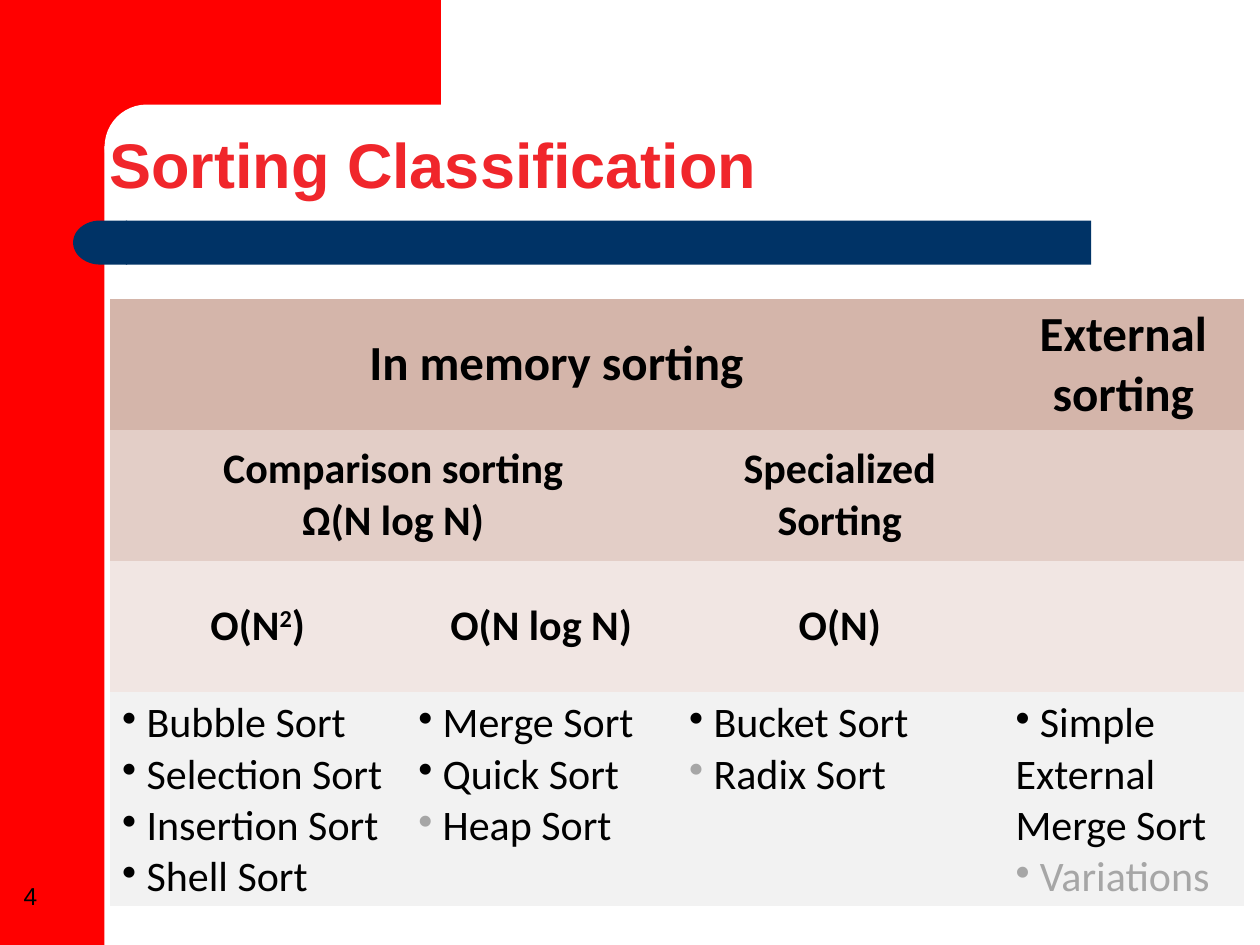
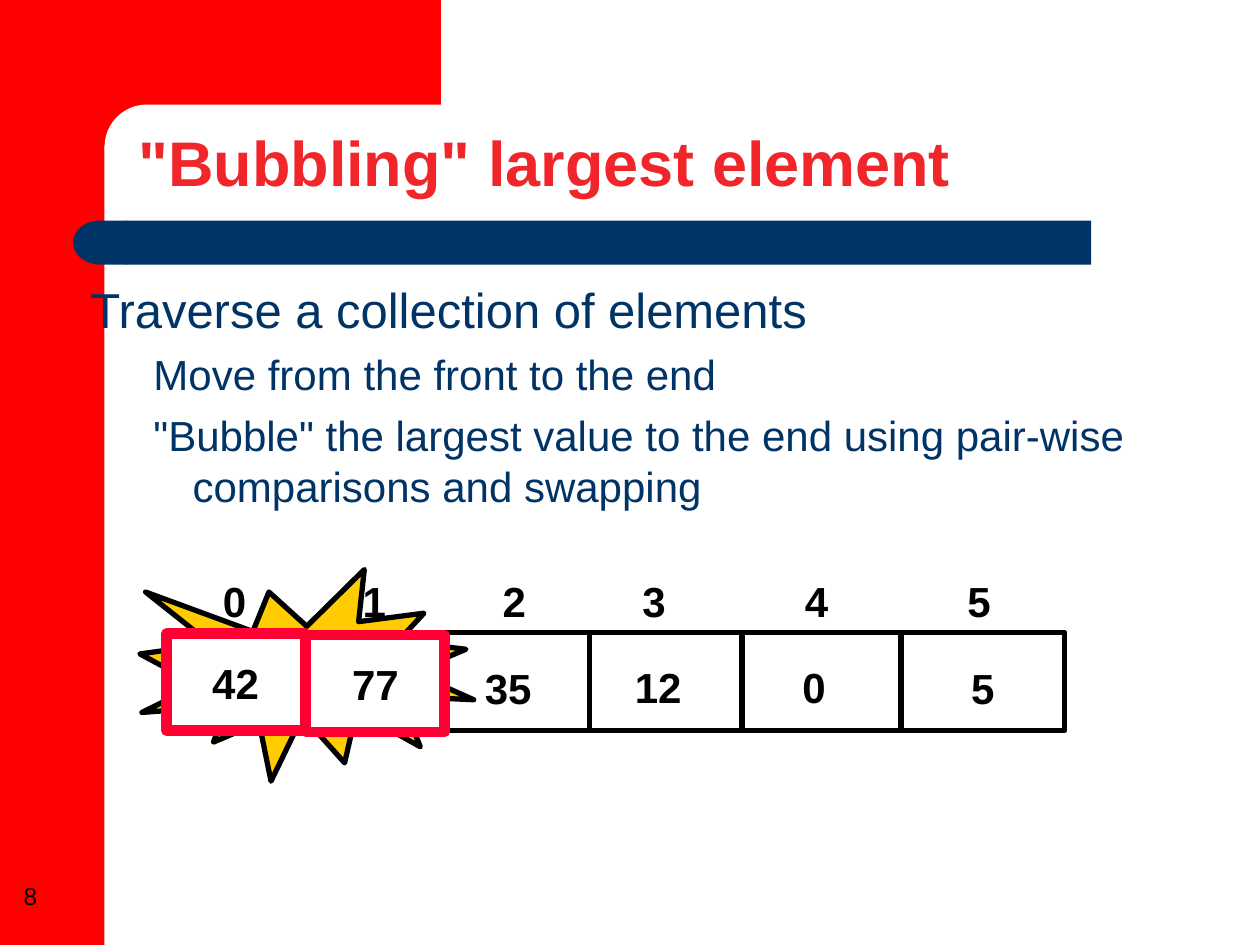
from lxml.etree import SubElement
from pptx import Presentation
from pptx.dml.color import RGBColor
from pptx.enum.shapes import MSO_CONNECTOR, MSO_SHAPE as Shape
from pptx.enum.text import MSO_ANCHOR as Anchor, PP_ALIGN as Align
from pptx.oxml.ns import qn
from pptx.util import Inches, Pt

RED = RGBColor(0xFF, 0x00, 0x00)
TITLE_RED = RGBColor(0xF0, 0x26, 0x2B)
SWAP_RED = RGBColor(0xFF, 0x00, 0x33)
NAVY = RGBColor(0x00, 0x33, 0x66)
YELLOW = RGBColor(0xFF, 0xCC, 0x00)
WHITE = RGBColor(0xFF, 0xFF, 0xFF)
BLACK = RGBColor(0x00, 0x00, 0x00)
GREY = RGBColor(0xA6, 0xA6, 0xA6)
ROW_FILLS = [RGBColor(0xD4, 0xB5, 0xAA), RGBColor(0xE3, 0xCE, 0xC7),
             RGBColor(0xF1, 0xE6, 0xE3), RGBColor(0xF2, 0xF2, 0xF2)]
NO_STYLE = "{2D5ABB26-0587-4C30-8999-92F81FD0307C}"

deck = Presentation()
deck.slide_width, deck.slide_height = Inches(10), Inches(7.5)
# The slide is a grid of 100 columns by 75 rows
COL = deck.slide_width / 100
ROW = deck.slide_height / 75


def draw(slide, kind, x, y, w, h, fill=None, line=None, weight=3):
    """Place a shape, or a text box when kind is None, on the grid."""
    place = int(x * COL), int(y * ROW), int(w * COL), int(h * ROW)
    if kind is None:
        box = slide.shapes.add_textbox(*place)
        box.text_frame.word_wrap = True
        return box
    shape = slide.shapes.add_shape(kind, *place)
    shape.shadow.inherit = False
    if fill is None:
        shape.fill.background()
    else:
        shape.fill.solid()
        shape.fill.fore_color.rgb = fill
    if line is None:
        shape.line.fill.background()
    else:
        shape.line.color.rgb = line
        shape.line.width = Pt(weight)
    return shape


def write(paragraph, text, size, color=BLACK, bold=False, font="Arial"):
    run = paragraph.add_run()
    run.text = text
    run.font.size, run.font.name, run.font.bold = Pt(size), font, bold
    run.font.color.rgb = color
    return run


# Shared frame: red corner, navy band, title and slide number
slides = []
for title, title_place, number in [
    ("Sorting Classification", (7.7, 4, 90, 12.5), "4"),
    ('"Bubbling" largest element', (10, 10, 87.5, 6.4), "8"),
]:
    slide = deck.slides.add_slide(deck.slide_layouts[6])
    draw(slide, Shape.RECTANGLE, 0, 0, 8.3, 75, RED)
    draw(slide, Shape.RECTANGLE, 7.5, 0, 27.5, 11.6, RED)
    corner = draw(slide, Shape.ROUNDED_RECTANGLE, 8.3, 8.3, 55.8, 6.7, WHITE)
    corner.adjustments[0] = 0.5
    draw(slide, Shape.RECTANGLE, 10, 17.5, 76.6, 3.5, NAVY)
    band_end = draw(slide, Shape.FLOWCHART_DELAY, 5.8, 17.5, 4.3, 3.5, NAVY)
    band_end.rotation = 180

    heading = draw(slide, None, *title_place).text_frame
    heading.vertical_anchor = Anchor.BOTTOM
    heading.paragraphs[0].line_spacing = 0.9
    write(heading.paragraphs[0], title, 36, TITLE_RED, True)
    page = draw(slide, None, 0.9, 69.4, 6.4, 5.3).text_frame
    write(page.paragraphs[0], number, 14)
    slides.append(slide)
classification, bubbling = slides

# Classification table
col_widths = [23.5, 21.5, 25.9, 19.1]
row_heights = [10.4, 10.4, 10.4, 17]
table = classification.shapes.add_table(
    4, 4, int(8.7 * COL), int(23.7 * ROW),
    int(sum(col_widths) * COL), int(sum(row_heights) * ROW)).table
table._tbl.tblPr.find(qn("a:tableStyleId")).text = NO_STYLE
table.first_row = table.horz_banding = False
for column, width in zip(table.columns, col_widths):
    column.width = int(width * COL)
for row, height, color in zip(table.rows, row_heights, ROW_FILLS):
    row.height = int(height * ROW)
    for cell in row.cells:
        cell.fill.solid()
        cell.fill.fore_color.rgb = color
table.cell(0, 0).merge(table.cell(0, 2))
table.cell(1, 0).merge(table.cell(1, 1))

# Headings; the text after ^ is superscript up to the next ^
headings = [
    (0, 0, 28, ["In memory sorting"]),
    (0, 3, 28, ["External sorting"]),
    (1, 0, 24, ["Comparison sorting", "Ω(N log N)"]),
    (1, 2, 24, ["Specialized Sorting"]),
    (2, 0, 24, ["O(N^2^)"]),
    (2, 1, 24, ["O(N log N)"]),
    (2, 2, 24, ["O(N)"]),
]
for row, col, size, lines in headings:
    cell = table.cell(row, col)
    cell.vertical_anchor = Anchor.MIDDLE
    for i, text in enumerate(lines):
        paragraph = cell.text_frame.add_paragraph() if i else cell.text_frame.paragraphs[0]
        paragraph.alignment = Align.CENTER
        for part, piece in enumerate(text.split("^")):
            run = write(paragraph, piece, size, BLACK, True, "Calibri")
            if part == 1:
                run._r.get_or_add_rPr().set("baseline", "30000")

# Algorithms: name, bullet colour, text colour
algorithms = [
    [("Bubble Sort", BLACK, BLACK), ("Selection Sort", BLACK, BLACK),
     ("Insertion Sort", BLACK, BLACK), ("Shell Sort", BLACK, BLACK)],
    [("Merge Sort", BLACK, BLACK), ("Quick Sort", BLACK, BLACK),
     ("Heap Sort", GREY, BLACK)],
    [("Bucket Sort", BLACK, BLACK), ("Radix Sort", GREY, BLACK)],
    [("Simple External Merge Sort", BLACK, BLACK), ("Variations", GREY, GREY)],
]
for col, sorts in enumerate(algorithms):
    frame = table.cell(3, col).text_frame
    for i, (name, bullet_color, text_color) in enumerate(sorts):
        paragraph = frame.add_paragraph() if i else frame.paragraphs[0]
        properties = paragraph._p.get_or_add_pPr()
        bullet = SubElement(properties, qn("a:buClr"))
        SubElement(bullet, qn("a:srgbClr"), val=str(bullet_color))
        SubElement(properties, qn("a:buChar"), char="•")
        write(paragraph, " " + name, 24, text_color, font="Calibri")

# Explanation of one bubbling pass: text, level, size, margin, hang, space before
explanation = draw(bubbling, None, 6.2, 21.7, 90, 53.3).text_frame
points = [
    ("Traverse a collection of elements", 0, 28, 0.38, 0.38, 0),
    ("Move from the front to the end", 1, 24, 0.81, 0.31, 6),
    ('"Bubble" the largest value to the end using pair-wise comparisons and swapping',
     1, 24, 0.81, 0.31, 6),
]
for i, (text, level, size, margin, hang, space) in enumerate(points):
    paragraph = explanation.add_paragraph() if i else explanation.paragraphs[0]
    paragraph.level = level
    paragraph.space_before = Pt(space)
    properties = paragraph._p.get_or_add_pPr()
    properties.set("marL", str(Inches(margin)))
    properties.set("indent", str(-Inches(hang)))
    write(paragraph, text, size, NAVY)

# Array outline and its cell walls
array_left, array_top, array_width, array_height = 13.2, 50.2, 71.3, 7.8
draw(bubbling, Shape.RECTANGLE, array_left, array_top, array_width, array_height, line=BLACK)
for wall_x in [24.3, 35.4, 46.8, 58.9, 71.5]:
    wall = bubbling.shapes.add_connector(
        MSO_CONNECTOR.STRAIGHT, int(wall_x * COL), int(array_top * ROW),
        int(wall_x * COL), int((array_top + array_height) * ROW))
    wall.line.color.rgb = BLACK
    wall.line.width = Pt(3)
    SubElement(wall._element.spPr, qn("a:effectLst"))

# Values that stay in place
for value, x, y, w in [("35", 37.5, 52.1, 5.7), ("12", 49.4, 52, 5.7),
                       ("0", 62.7, 52, 3.9), ("5", 76.1, 52.1, 3.9)]:
    frame = draw(bubbling, None, x, y, w, 5).text_frame
    frame.word_wrap = False
    write(frame.paragraphs[0], value, 24, bold=True)

# Index labels on tab stops
indexes = draw(bubbling, None, 16.7, 45.2, 63.8, 5.1).text_frame.paragraphs[0]
tabs = SubElement(indexes._p.get_or_add_pPr(), qn("a:tabLst"))
for stop in [11.1, 22.2, 33.3, 46.2, 59.1]:
    SubElement(tabs, qn("a:tab"), pos=str(int(stop * COL)), algn="l")
write(indexes, "\t".join("012345"), 24, bold=True)

# Burst behind the pair being swapped
draw(bubbling, Shape.EXPLOSION1, 11.1, 45.2, 26.5, 16.8, YELLOW, BLACK)
for value, x, y in [("42", 13.2, 50.3), ("77", 24.3, 50.4)]:
    pair = draw(bubbling, Shape.RECTANGLE, x, y, 11, 7.7, WHITE, SWAP_RED, 6).text_frame
    pair.word_wrap = False
    pair.vertical_anchor = Anchor.MIDDLE
    pair.paragraphs[0].alignment = Align.CENTER
    write(pair.paragraphs[0], value, 24, bold=True)

deck.save("out.pptx")
